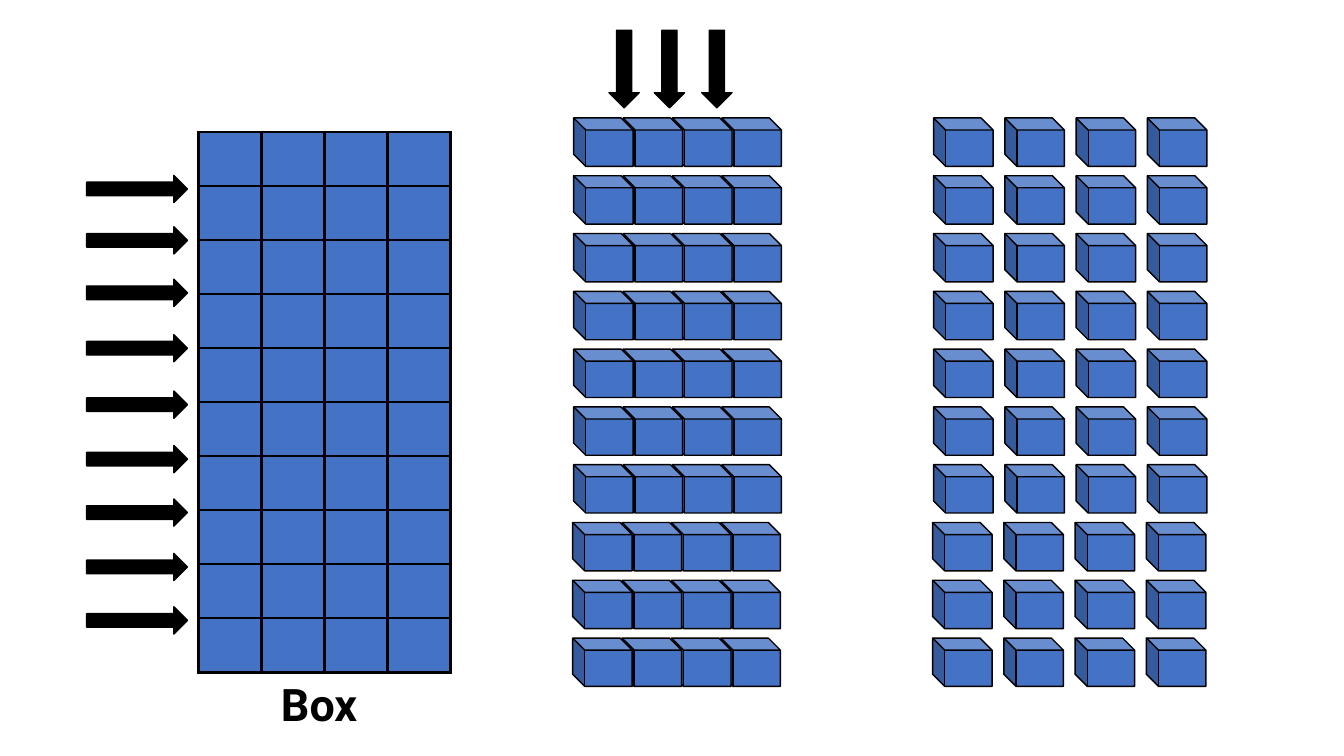
import lxml.etree
import pptx
import pptx.dml.color
import pptx.enum.shapes
import pptx.enum.text
import pptx.oxml.ns
import pptx.util

Inches = pptx.util.Inches
Pt = pptx.util.Pt
SHAPES = pptx.enum.shapes.MSO_SHAPE
BLUE = "4472C4"
BLACK = "000000"
ROWS, COLUMNS = 10, 4
CUT_TOPS = [1.74, 2.25, 2.77, 3.32, 3.88, 4.42, 4.95, 5.49, 6.02]
SLICE_LEFTS = [6.04, 6.49, 6.96]


def colour(value):
    """Turn a hex string into a colour."""
    return pptx.dml.color.RGBColor.from_string(value)


def add_solid(slide, preset, left, top, width, height, fill):
    """Add a filled preset shape with a thin black outline."""
    solid = slide.shapes.add_shape(
        preset, Inches(left), Inches(top), Inches(width), Inches(height))
    solid.shadow.inherit = False
    solid.fill.solid()
    solid.fill.fore_color.rgb = colour(fill)
    solid.line.color.rgb = colour(BLACK)
    solid.line.width = Pt(1)
    return solid


def add_cubes(slide, first_left, last_left):
    """Add a grid of cubes, stacked from right to left."""
    column_step = (last_left - first_left) / (COLUMNS - 1)
    row_step = (6.33 - 1.17) / (ROWS - 1)
    for column in reversed(range(COLUMNS)):
        for row in range(ROWS):
            shift = 0.01 if row >= 7 else 0
            cube = add_solid(slide, SHAPES.CUBE, first_left + column * column_step - shift,
                             1.17 + row * row_step, 0.59, 0.48, BLUE)
            cube._element.spPr.xfrm.set("flipH", "1")


def add_borders(cell):
    """Draw a black border on every side of a cell."""
    properties = cell._tc.get_or_add_tcPr()
    for side in ("a:lnL", "a:lnR", "a:lnT", "a:lnB"):
        border = lxml.etree.SubElement(
            properties, pptx.oxml.ns.qn(side), w=str(Pt(2.25)))
        fill = lxml.etree.SubElement(border, pptx.oxml.ns.qn("a:solidFill"))
        lxml.etree.SubElement(fill, pptx.oxml.ns.qn("a:srgbClr"), val=BLACK)


def add_box(slide):
    """Add the uncut box as a table of blue cells."""
    box = slide.shapes.add_table(
        ROWS, COLUMNS, Inches(1.97), Inches(1.31), Inches(2.5), Inches(5.36)).table
    box.first_row = False
    box.horz_banding = False
    for cell in box.iter_cells():
        add_borders(cell)
        cell.fill.solid()
        cell.fill.fore_color.rgb = colour(BLUE)


def add_caption(slide, wording):
    """Add the caption under the box."""
    frame = slide.shapes.add_textbox(
        Inches(2.01), Inches(6.66), Inches(2.31), Inches(0.64)).text_frame
    frame.word_wrap = True
    frame.auto_size = pptx.enum.text.MSO_AUTO_SIZE.SHAPE_TO_FIT_TEXT
    caption = frame.paragraphs[0]
    caption.text = wording
    caption.alignment = pptx.enum.text.PP_ALIGN.CENTER
    caption.font.name = "Roboto"
    caption.font.size = Pt(32)
    caption.font.bold = True
    caption.font.color.rgb = colour(BLACK)


def main():
    """Build the slide and save it."""
    deck = pptx.Presentation()
    deck.slide_width = Inches(13.33)
    deck.slide_height = Inches(7.5)
    slide = deck.slides.add_slide(deck.slide_layouts[6])
    add_cubes(slide, 9.26, 11.38)
    add_cubes(slide, 5.69, 7.16)
    add_box(slide)
    for top in CUT_TOPS:
        add_solid(slide, SHAPES.RIGHT_ARROW, 0.86, top, 1, 0.27, BLACK)
    for left in SLICE_LEFTS:
        add_solid(slide, SHAPES.DOWN_ARROW, left, 0.3, 0.3, 0.77, BLACK)
    add_caption(slide, "Box")
    deck.save("out.pptx")


if __name__ == "__main__":
    main()
